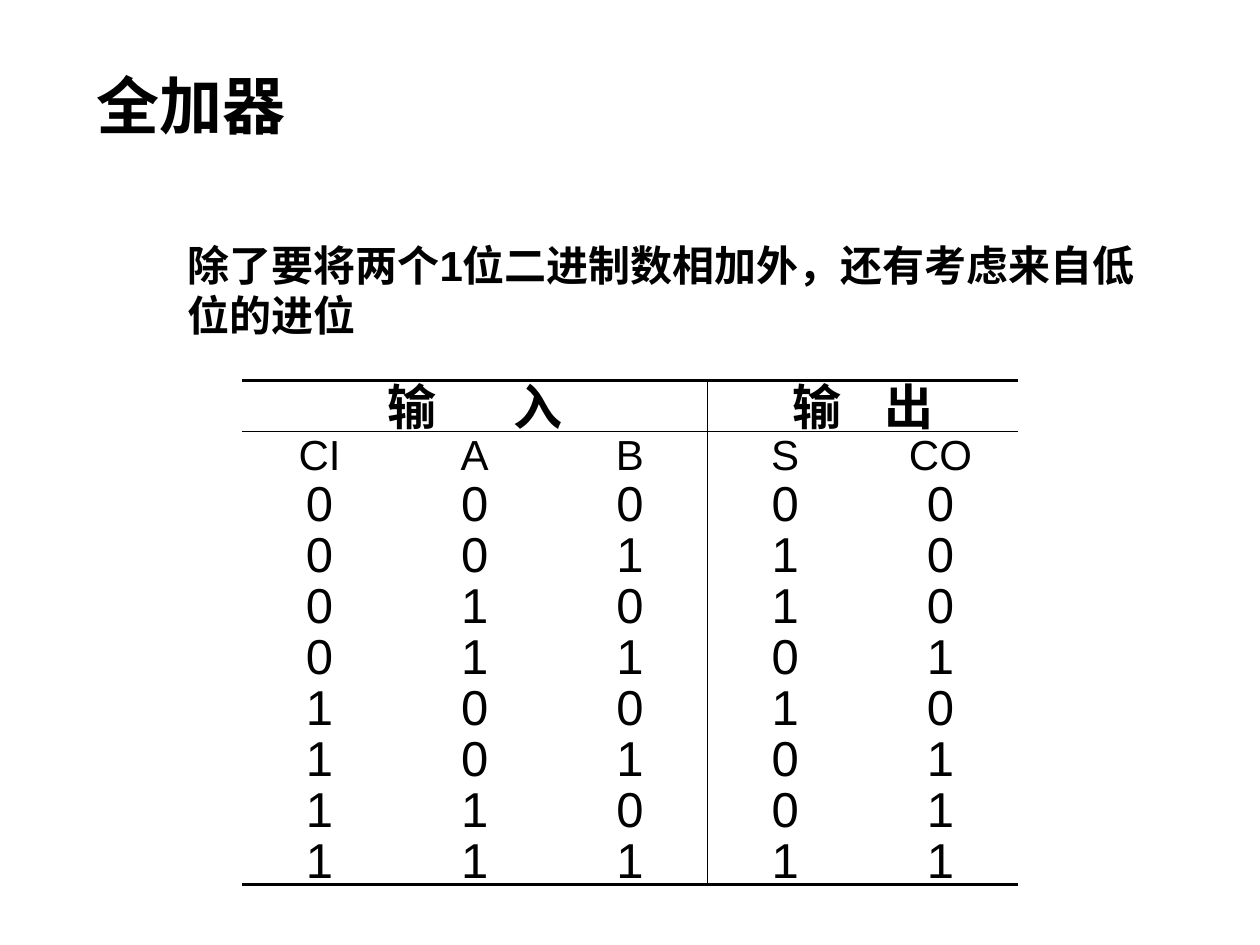
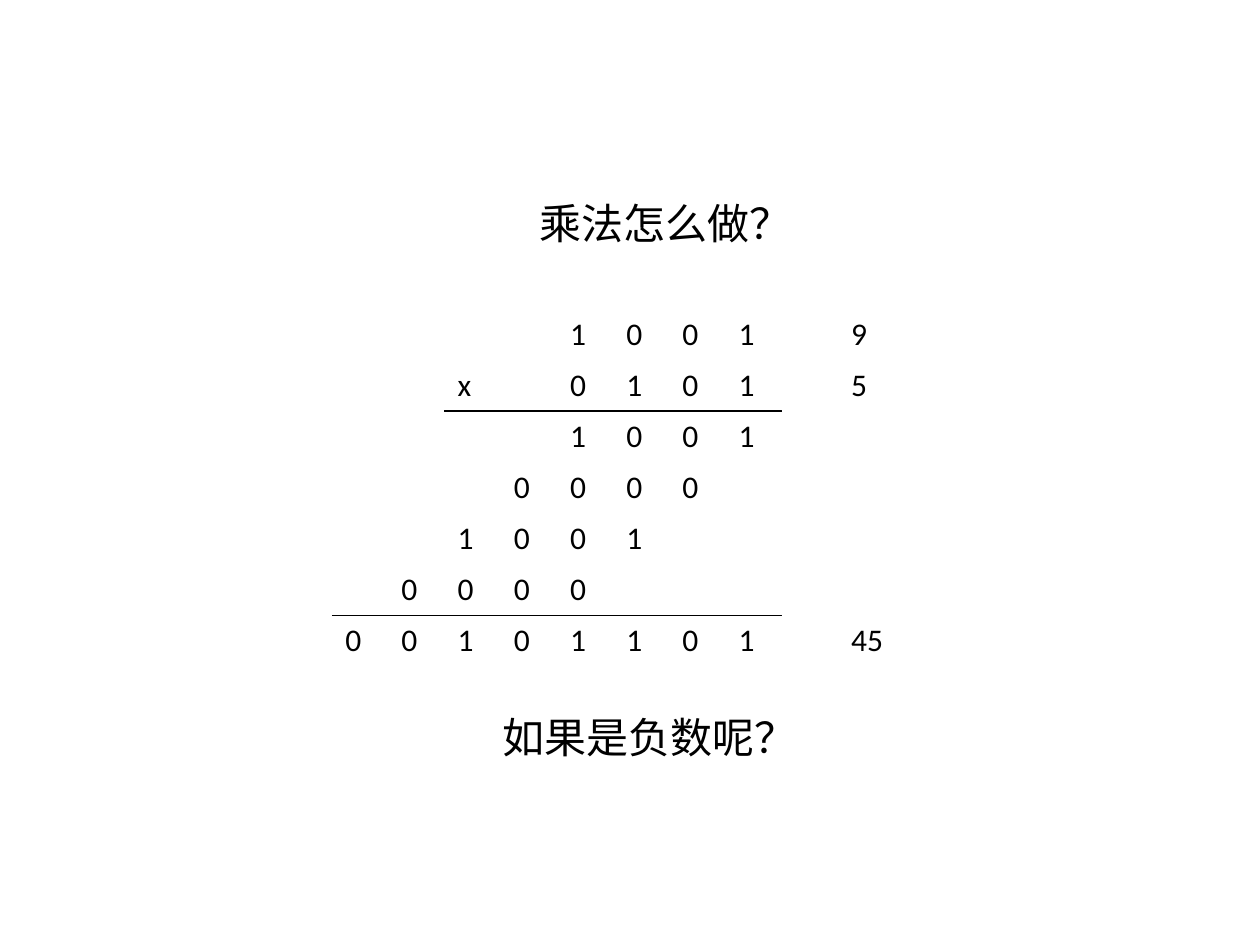
from dataclasses import dataclass

from lxml import etree
from pptx import Presentation, util as u
from pptx.dml.color import RGBColor
from pptx.enum import shapes, text
from pptx.oxml import ns


@dataclass(frozen=True)
class Theme:
    ink: RGBColor = RGBColor(0, 0, 0)
    paper: RGBColor = RGBColor(255, 255, 255)
    head_font: str = "Calibri"
    body_font: str = "Arial"
    title: int = 36
    value: int = 28
    body: int = 24
    digit: int = 18
    thin: float = 1
    thick: float = 2.25


theme = Theme()
deck = Presentation()
deck.slide_width, deck.slide_height = u.Inches(10), u.Inches(7.5)
blank = deck.slide_layouts[6]


def style(para, size, font, bold=False):
    for span in para.runs:
        span.font.size = u.Pt(size)
        span.font.name = font
        span.font.bold = bold
        span.font.color.rgb = theme.ink


def add_text(page, words, area, size, font, bold=False, wrap=True):
    box = page.shapes.add_textbox(*[u.Inches(length) for length in area])
    box.text_frame.text = words
    box.text_frame.word_wrap = wrap
    style(box.text_frame.paragraphs[0], size, font, bold)
    return box.text_frame


adder_page = deck.slides.add_slide(blank)
add_text(adder_page, "全加器", (0.67, 0.48, 5.49, 0.71), theme.title, theme.head_font, True)
add_text(adder_page, "除了要将两个1位二进制数相加外，还有考虑来自低位的进位",
         (1.39, 1.85, 7.93, 0.91), theme.body, theme.body_font, True)

left, top, right, bottom = 1.92, 3.02, 8.08, 7.02
column = (right - left) / 5
label_height = 0.36
row = (bottom - top - label_height) / 9
split = left + 3 * column

for first, last, start, columns, gap in (("输", "入", left, 3, 44), ("输", "出", split, 2, 25)):
    frame = add_text(adder_page, first, (start, top, columns * column, row),
                     theme.value, theme.body_font)
    frame.vertical_anchor = text.MSO_ANCHOR.MIDDLE
    para = frame.paragraphs[0]
    para.alignment = text.PP_ALIGN.CENTER
    para.space_before = u.Pt(4)
    para.add_run().text = last
    style(para, theme.value, theme.body_font, True)
    para.runs[0].font._element.set("spc", str(gap * 100))

truth_table = [["CI", "A", "B", "S", "CO"]]
for number in range(8):
    inputs = [number >> 2 & 1, number >> 1 & 1, number & 1]
    truth_table.append(inputs + [sum(inputs) % 2, sum(inputs) // 2])

y = top + row
for index, values in enumerate(truth_table):
    height, size = (row, theme.value) if index else (label_height, theme.body)
    for position, value in enumerate(values):
        frame = add_text(adder_page, str(value), (left + position * column, y, column, height),
                         size, theme.body_font)
        frame.vertical_anchor = text.MSO_ANCHOR.MIDDLE
        frame.paragraphs[0].alignment = text.PP_ALIGN.CENTER
        frame.paragraphs[0].space_before = u.Pt(4)
    y += height

for x1, y1, x2, y2, weight in (
    (left, top, right, top, theme.thick),
    (left, top + row, right, top + row, theme.thin),
    (left, bottom, right, bottom, theme.thick),
    (split, top, split, bottom, theme.thin),
):
    rule = adder_page.shapes.add_connector(
        shapes.MSO_CONNECTOR.STRAIGHT, *[u.Inches(length) for length in (x1, y1, x2, y2)])
    rule.line.color.rgb = theme.ink
    rule.line.width = u.Pt(weight)
    etree.SubElement(rule._element.spPr, ns.qn("a:effectLst"))

product_page = deck.slides.add_slide(blank)
long_multiplication = (
    "....1001.9.",
    "..x.0101.5.",
    "....1001...",
    "...0000....",
    "..1001.....",
    ".0000......",
    "00101101.#.",
    "...........",
)
product = "45"
ruled_columns = {1: range(2, 8), 5: range(8)}
width, height = 4.91, 3.24
holder = product_page.shapes.add_table(
    len(long_multiplication), 11, u.Inches(2.64), u.Inches(2.45), u.Inches(width), u.Inches(height))
grid = holder.table
grid.first_row = grid.horz_banding = False
for position, grid_column in enumerate(grid.columns):
    grid_column.width = u.Inches({9: 0.47, 10: 0.42}.get(position, width / 11))

for index, symbols in enumerate(long_multiplication):
    grid.rows[index].height = u.Inches(height / len(long_multiplication))
    for position, symbol in enumerate(symbols):
        cell = grid.cell(index, position)
        if symbol != ".":
            cell.text_frame.text = product if symbol == "#" else symbol
            style(cell.text_frame.paragraphs[0], theme.digit, theme.head_font)
        for edge, owner in (("a:lnT", index - 1), ("a:lnB", index)):
            if position in ruled_columns.get(owner, ()):
                border = etree.SubElement(cell._tc.get_or_add_tcPr(), ns.qn(edge),
                                          w=str(u.Pt(theme.thin)))
                fill = etree.SubElement(border, ns.qn("a:solidFill"))
                etree.SubElement(fill, ns.qn("a:srgbClr"), val=str(theme.ink))
        cell.fill.solid()
        cell.fill.fore_color.rgb = theme.paper

for question, area in (("如果是负数呢？", (3.89, 5.6, 2.41, 0.5)),
                       ("乘法怎么做？", (4.18, 1.52, 2.12, 0.5))):
    add_text(product_page, question, area, theme.body, theme.head_font, wrap=False)

deck.save("out.pptx")
